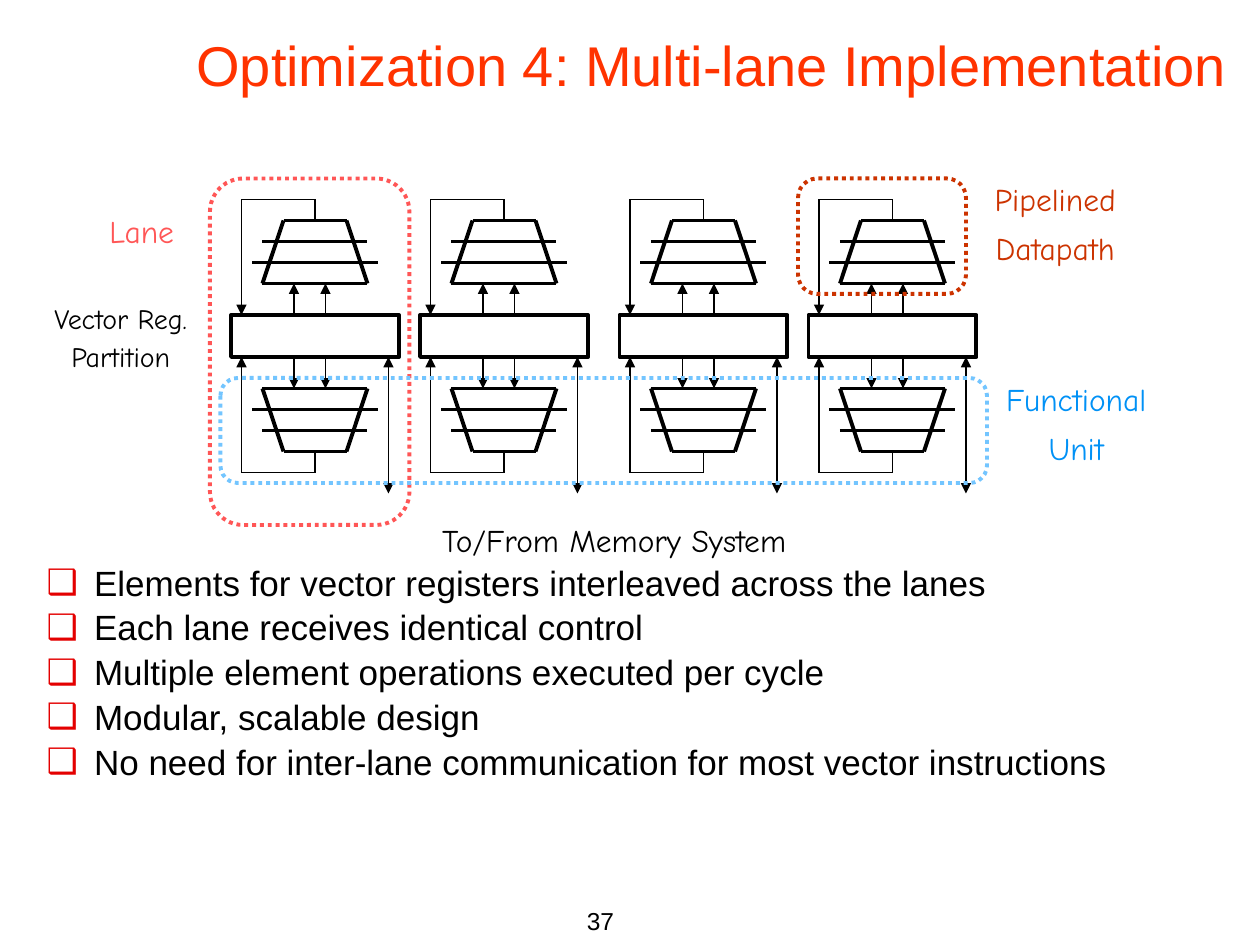
from lxml.etree import SubElement as Sub
from pptx import Presentation
from pptx.dml.color import RGBColor
from pptx.enum.dml import MSO_LINE as Dash
from pptx.enum.shapes import MSO_CONNECTOR as Link, MSO_SHAPE as Shape
from pptx.enum.text import MSO_ANCHOR as Anchor, MSO_AUTO_SIZE as Fit, PP_ALIGN as Align
from pptx.oxml.ns import qn
from pptx.util import Pt

BLACK = "000000"
LANES = [240, 132, 462, 354]
REG_TOP, REG_LOW = 180, 204
ZONES = [
    (456, 102, 96, 66, "CC3300"),
    (120, 102, 114, 198, "FF5656"),
    (126, 216, 438, 60, "73C5FF"),
]
LABELS = [
    (["To/From Memory System"], 120, 294, 462, 29, 18, BLACK, 1),
    (["Pipelined", "Datapath"], 534, 102, 138, 57, 18, "CC3300", 0.9),
    (["Functional", "Unit"], 546, 216, 138, 57, 18, "0091F6", 0.9),
    (["Lane"], 30, 120, 102, 26.5, 18, "FF5656", 0.9),
    (["Vector Reg.", "Partition"], 0, 174, 138, 44, 16, BLACK, 0.7),
]
POINTS = [
    "Elements for vector registers interleaved across the lanes",
    "Each lane receives identical control",
    "Multiple element operations executed per cycle",
    "Modular, scalable design",
    "No need for inter-lane communication for most vector instructions",
]


def paint(color, code):
    color.rgb = RGBColor.from_string(code)


def place(shape, *box):
    shape.left, shape.top, shape.width, shape.height = map(Pt, box)


def write(par, text, size, code, font="Arial"):
    run = par.add_run()
    run.text = text
    run.font.name = font
    run.font.size = Pt(size)
    paint(run.font.color, code)


def lines(frame, texts):
    for i, text in enumerate(texts):
        yield (frame.add_paragraph() if i else frame.paragraphs[0]), text


def stroke(line, code, width):
    line.fill.solid()
    paint(line.color, code)
    line.width = Pt(width)


def wire(shapes, x1, y1, x2, y2, width=0.75, ends=()):
    link = shapes.add_connector(Link.STRAIGHT, Pt(x1), Pt(y1), Pt(x2), Pt(y2))
    stroke(link.line, BLACK, width)
    props = link.element.spPr
    for end in ends:
        Sub(props.find(qn("a:ln")), qn("a:" + end), type="triangle")
    Sub(props, qn("a:effectLst"))


def frame_box(shapes, kind, box, code):
    shape = shapes.add_shape(kind, *map(Pt, box))
    shape.shadow.inherit = False
    shape.fill.background()
    stroke(shape.line, code, 2.25)
    return shape


def unit(shapes, x, edge, way):
    base, wide, thin, tip, loop = (edge + way * d for d in (18, 30, 42, 54, 66))
    for x1, y1, x2, y2 in [
        (30, tip, 66, tip),
        (30, tip, 18, base),
        (66, tip, 78, base),
        (18, base, 78, base),
        (12, wide, 84, wide),
        (18, thin, 78, thin),
    ]:
        wire(shapes, x + x1, y1, x + x2, y2, 2.25)
    for dx in (36, 54):
        wire(shapes, x + dx, edge, x + dx, base, ends=["tailEnd"])
    wire(shapes, x + 48, tip, x + 48, loop)
    wire(shapes, x + 48, loop, x + 6, loop)
    wire(shapes, x + 6, loop, x + 6, edge, ends=["tailEnd"])


def lane(slide, x):
    shapes = slide.shapes.add_group_shape().shapes
    frame_box(shapes, Shape.RECTANGLE, (x, REG_TOP, 96, REG_LOW - REG_TOP), BLACK)
    unit(shapes, x, REG_TOP, -1)
    unit(shapes, x, REG_LOW, 1)
    wire(shapes, x + 90, REG_LOW, x + 90, 282, ends=["headEnd", "tailEnd"])


def label(slide, texts, x, y, w, h, size, code, gap, font="Comic Neue", align=Align.CENTER):
    box = slide.shapes.add_textbox(*map(Pt, (x, y, w, h)))
    frame = box.text_frame
    frame.word_wrap = True
    frame.auto_size = Fit.SHAPE_TO_FIT_TEXT
    for par, text in lines(frame, texts):
        par.alignment = align
        par.line_spacing = gap
        par.space_before = Pt(8.5)
        write(par, text, size, code, font)


def head(slide, text):
    title = slide.shapes.title
    place(title, 105, 0, 615, 73.4)
    title.fill.solid()
    paint(title.fill.fore_color, "FFFFFF")
    frame = title.text_frame
    frame.auto_size = Fit.NONE
    frame.vertical_anchor = Anchor.MIDDLE
    par = frame.paragraphs[0]
    par.alignment = Align.LEFT
    write(par, text, 32, "FF3300")


def bullets(slide, texts):
    body = slide.placeholders[1]
    place(body, 19.5, 319.7, 680.4, 146.9)
    frame = body.text_frame
    frame.auto_size = Fit.NONE
    for par, text in lines(frame, texts):
        par.line_spacing = 0.9
        par.space_before = Pt(4)
        write(par, text, 20, BLACK)
        props = par._p.get_or_add_pPr()
        props.set("marL", str(Pt(27)))
        props.set("indent", str(Pt(-27)))
        Sub(Sub(props, qn("a:buClr")), qn("a:srgbClr"), val="E40000")
        Sub(props, qn("a:buChar"), char="❑")


def main():
    deck = Presentation()
    deck.slide_width, deck.slide_height = Pt(720), Pt(540)
    slide = deck.slides.add_slide(deck.slide_layouts[1])
    head(slide, "Optimization 4: Multi-lane Implementation")
    bullets(slide, POINTS)
    for x in LANES:
        lane(slide, x)
    for *box, code in ZONES:
        zone = frame_box(slide.shapes, Shape.ROUNDED_RECTANGLE, box, code)
        zone.line.dash_style = Dash.ROUND_DOT
    for item in LABELS:
        label(slide, *item)
    label(slide, ["37"], 208, 514, 150, 36, 14, BLACK, 1, "Arial", Align.RIGHT)
    deck.save("out.pptx")


if __name__ == "__main__":
    main()
